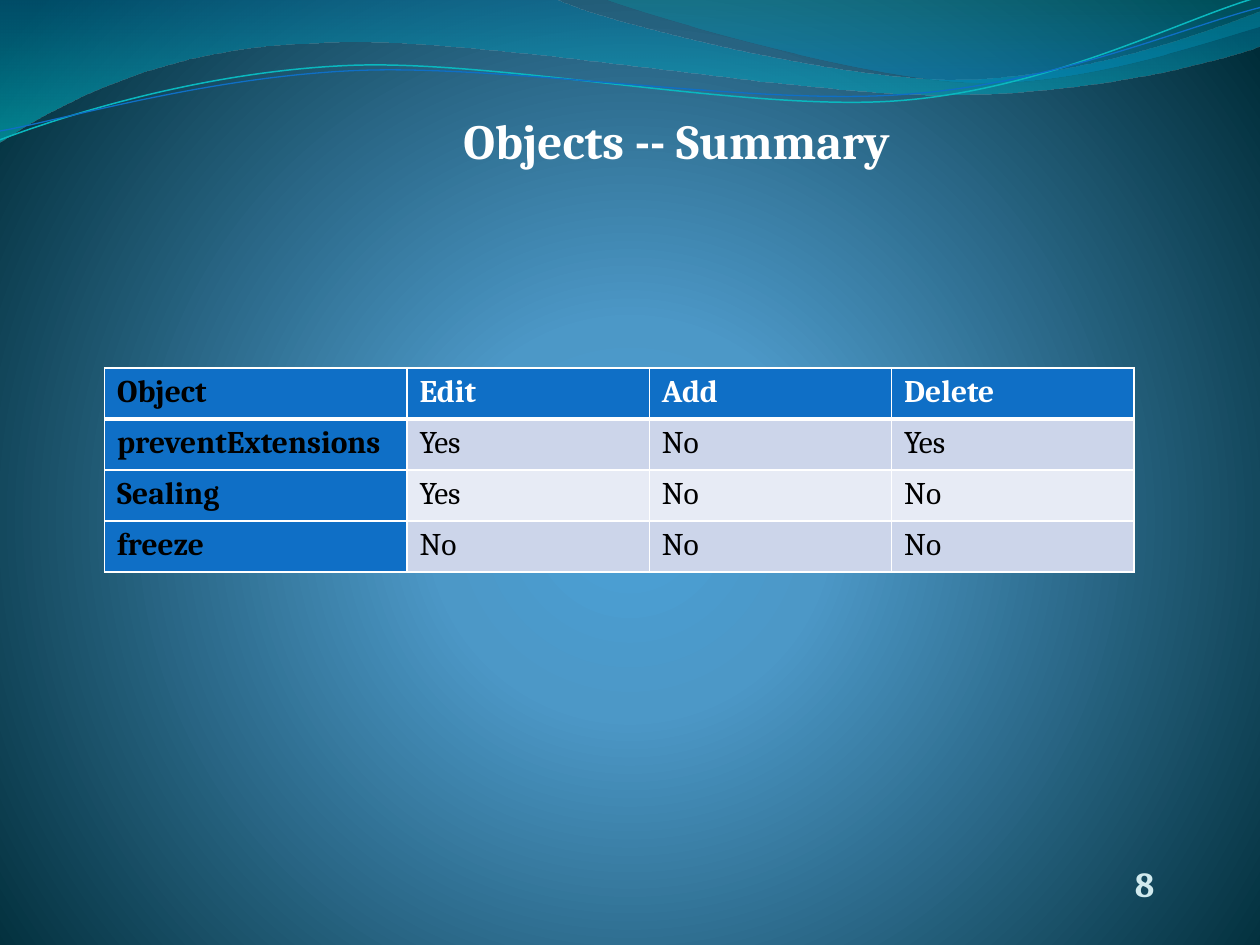
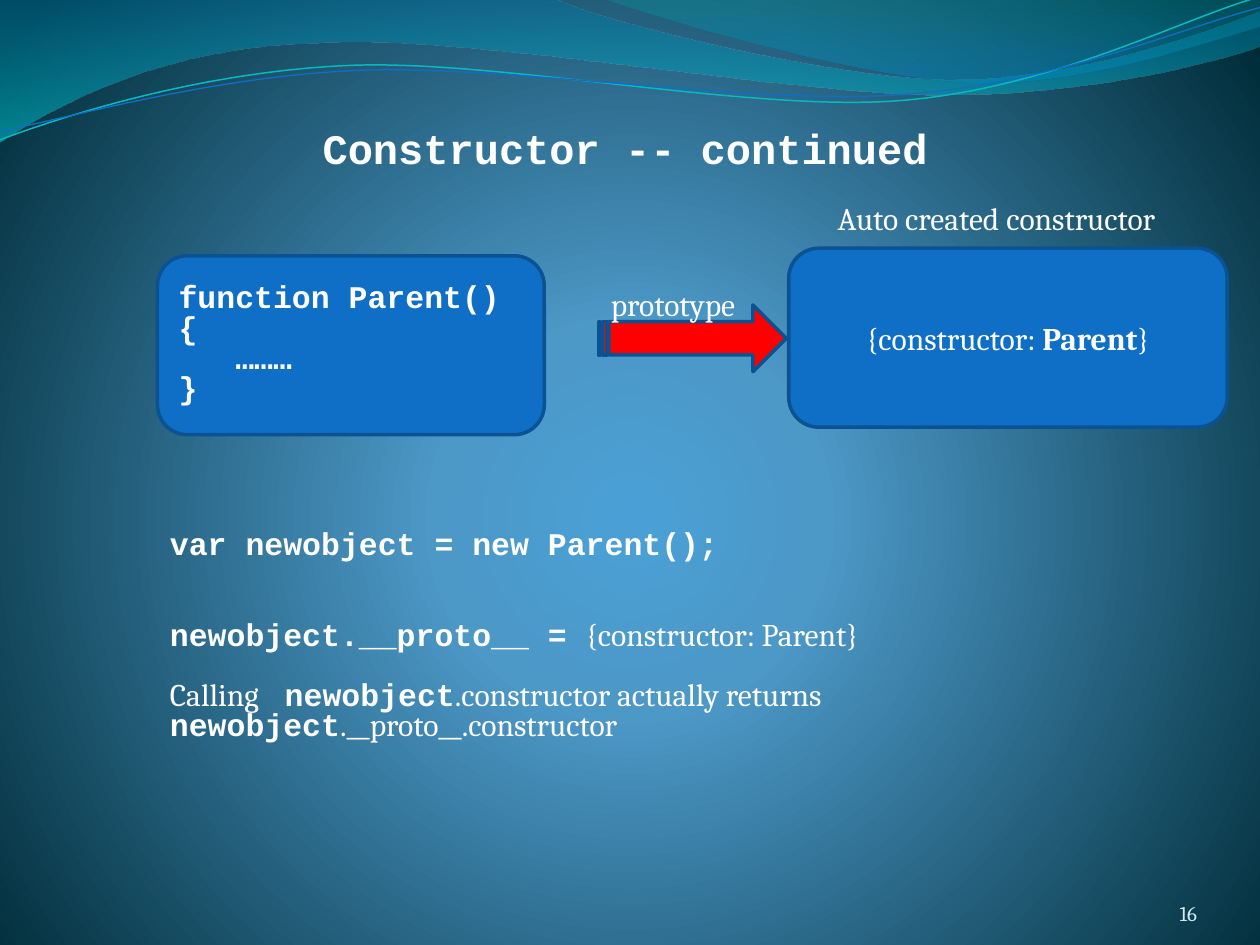
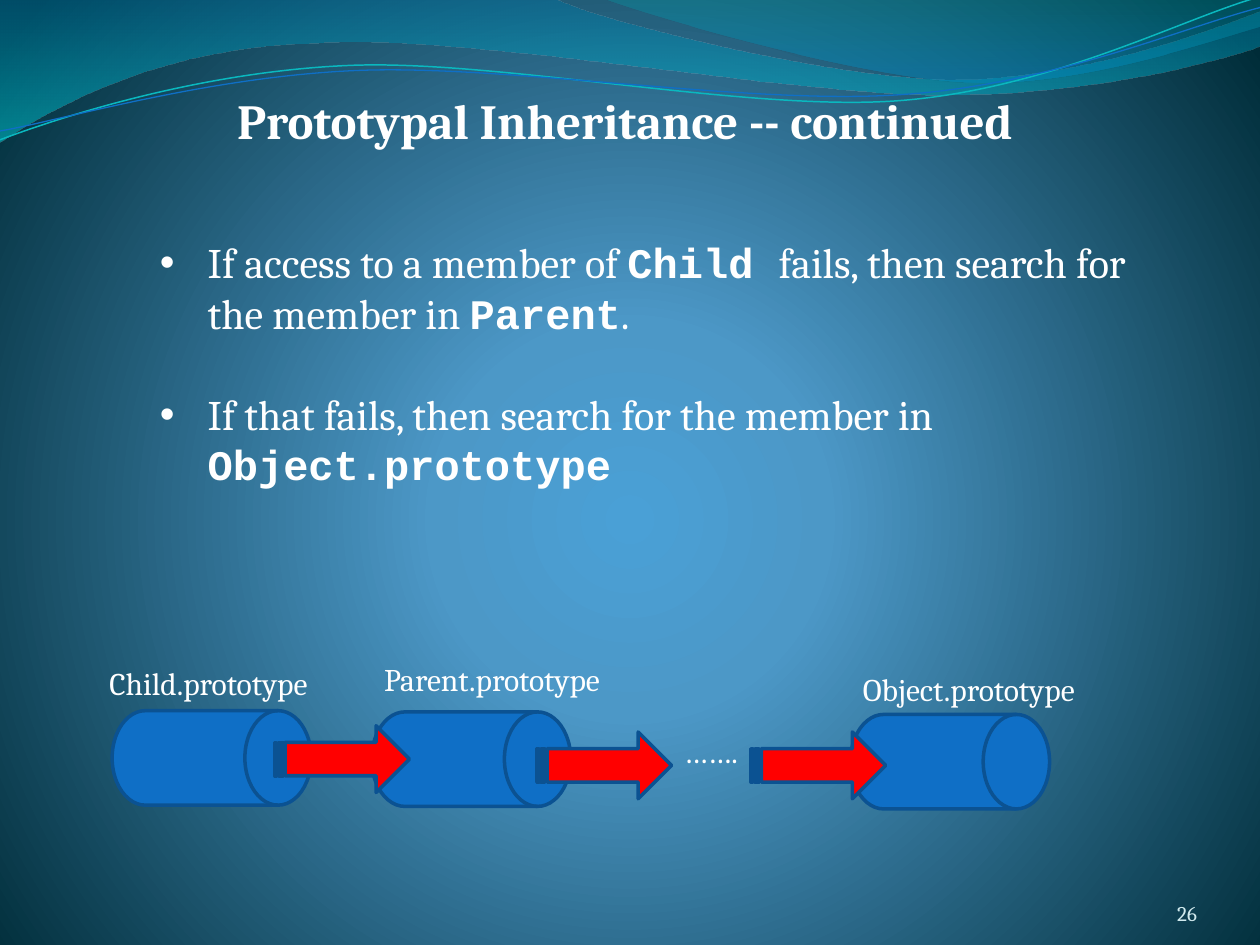
import pptx
import pptx.dml.color
import pptx.enum.shapes
import pptx.enum.text
import pptx.oxml
import pptx.oxml.ns
import pptx.util
from lxml import etree

Inches = pptx.util.Inches
Pt = pptx.util.Pt
qn = pptx.oxml.ns.qn
SHAPES = pptx.enum.shapes.MSO_SHAPE
ALIGN = pptx.enum.text.PP_ALIGN
ANCHOR = pptx.enum.text.MSO_ANCHOR
AUTO_SIZE = pptx.enum.text.MSO_AUTO_SIZE

COLORS = {
    "white": "FFFFFF", "black": "000000", "blue": "0F6FC6", "outline": "0B5292",
    "red": "FF0000", "number": "D1EAEE", "band": "CCD5EA", "light band": "E7EBF5",
    "glow": "4AA0D6", "mid blue": "4C98C7", "deep": "002C38",
    "wave blue": "0074A1", "wave cyan": "00C6CF",
    "wave teal": "00A1A9", "wave sky": "008BBF", "cyan line": "0AB8BF",
}

# Text styles: font name and bold
PLAIN = ("Cambria", False)
STRONG = ("Cambria", True)
CODE = ("Courier New", True)

# Waves: a start point, then lines (one point) and curves (three points)
LEFT_WAVE = [
    [(0, 0)], [(4.4, -0.01)],
    [(4.76, 0.17), (6.64, 0.63), (7.58, 0.63)], [(8.53, 0.63), (9.58, 0.26), (10, 0.09)],
    [(10.01, 0.36)],
    [(9.83, 0.44), (8.7, 0.76), (7.46, 0.75)], [(6.22, 0.75), (3.82, 0.28), (2.57, 0.34)],
    [(1.29, 0.36), (0.46, 0.83), (-0.01, 1.13)], [(0, 0)],
]
RIGHT_WAVE = [
    [(4.79, -0.01)], [(5.09, 0.11), (6.82, 0.62), (7.69, 0.65)],
    [(8.56, 0.69), (9.61, 0.32), (10, 0.21)], [(10, 0)], [(4.79, -0.01)],
]
CYAN_LINE = [
    [(0, 1.11)], [(0.48, 0.93), (1.58, 0.57), (2.77, 0.52)],
    [(3.95, 0.47), (5.93, 0.89), (7.13, 0.8)], [(8.33, 0.71), (9.38, 0.15), (9.98, -0.02)],
]
BLUE_LINE = [
    [(0, 1.04)], [(0.47, 0.96), (1.64, 0.61), (2.83, 0.56)],
    [(4.03, 0.51), (5.97, 0.84), (7.17, 0.75)], [(8.36, 0.67), (9.41, 0.21), (10, 0.06)],
]


def rgb(name):
    """Return a named colour."""
    return pptx.dml.color.RGBColor.from_string(COLORS[name])


def set_gradient(owner, stops, direction):
    """Swap the empty fill of a shape or background for a gradient."""
    marks = ""
    for place, color, alpha in stops:
        clear = f'<a:alpha val="{alpha * 1000}"/>' if alpha < 100 else ""
        marks += (f'<a:gs pos="{place * 1000}"><a:srgbClr val="{COLORS[color]}">'
                  f'{clear}</a:srgbClr></a:gs>')
    gradient = pptx.oxml.parse_xml(
        f'<a:gradFill {pptx.oxml.ns.nsdecls("a")} rotWithShape="1">'
        f'<a:gsLst>{marks}</a:gsLst>{direction}</a:gradFill>')
    empty = owner.find(".//" + qn("a:noFill"))
    empty.getparent().replace(empty, gradient)


def add_wave(page, outline, close):
    """Draw an unfilled outline, then join each three points into a curve."""
    start, *rest = [(Inches(x), Inches(y)) for segment in outline for x, y in segment]
    builder = page.shapes.build_freeform(*start, scale=1.0)
    builder.add_line_segments(rest, close=close)
    wave = builder.convert_to_shape()
    wave.shadow.inherit = False
    wave.fill.background()
    steps = iter(list(wave.element.iter(qn("a:lnTo"))))
    for segment in outline[1:]:
        lines = [next(steps) for _ in segment]
        if len(lines) == 3:
            curve = etree.Element(qn("a:cubicBezTo"))
            lines[0].addprevious(curve)
            for line in lines:
                curve.append(line[0])
                line.getparent().remove(line)
    return wave


def add_wave_band(page, outline, stops):
    """Draw a wave filled from top to bottom."""
    wave = add_wave(page, outline, True)
    set_gradient(wave.element, stops, '<a:lin ang="5400000" scaled="1"/>')
    wave.line.fill.background()
    return wave


def add_wave_line(page, outline, color, width):
    """Draw a thin wavy line."""
    wave = add_wave(page, outline, False)
    wave.line.color.rgb = rgb(color)
    wave.line.width = Pt(width)
    return wave


def style_master(deck, page):
    """Give the master its background and waves, drawn first on a page."""
    master = deck.slide_master
    master.background.fill.background()
    set_gradient(
        master.element, [(0, "glow", 100), (25, "mid blue", 100), (100, "deep", 100)],
        '<a:path path="circle"><a:fillToRect l="10000" t="110000" r="10000" b="100000"/></a:path>')
    waves = [
        add_wave_band(page, LEFT_WAVE, [(0, "wave blue", 45), (100, "wave cyan", 55)]),
        add_wave_band(page, RIGHT_WAVE, [(0, "wave teal", 30), (80, "wave sky", 45)]),
        add_wave_line(page, CYAN_LINE, "cyan line", 0.85),
        add_wave_line(page, BLUE_LINE, "blue", 0.75),
    ]
    for wave in waves:
        master.element.cSld.spTree.append(wave.element)


def set_font(font, style, size, color):
    """Set the whole look of a font."""
    font.name, font.bold = style
    font.size = Pt(size)
    font.color.rgb = rgb(color)


def write(frame, paragraphs, size=18, color="white", align=None, spacing=None, gaps=()):
    """Fill a text frame; each paragraph is a list of (text, style) runs."""
    for index, runs in enumerate(paragraphs):
        para = frame.add_paragraph() if index else frame.paragraphs[0]
        para.alignment = align
        para.line_spacing = spacing
        if index < len(gaps):
            para.space_before = Pt(gaps[index])
        same = len({style for _, style in runs}) == 1
        if same:
            set_font(para.font, runs[0][1], size, color)
        for text, style in runs:
            span = para.add_run()
            span.text = text
            if not same:
                set_font(span.font, style, size, color)


def indent(para, left, first=0):
    """Indent a paragraph and return its properties."""
    props = para._p.get_or_add_pPr()
    props.set("marL", str(Inches(left)))
    props.set("indent", str(Inches(first)))
    return props


def add_bullet(para):
    """Give a paragraph a hanging round bullet."""
    props = indent(para, 0.38, -0.38)
    etree.SubElement(props, qn("a:buFont"), typeface="Arial")
    etree.SubElement(props, qn("a:buChar"), char="•")


def add_text(page, place, paragraphs, wrap=True, **options):
    """Add a text box that grows with its text."""
    box = page.shapes.add_textbox(*map(Inches, place))
    box.text_frame.word_wrap = wrap
    box.text_frame.auto_size = AUTO_SIZE.SHAPE_TO_FIT_TEXT
    write(box.text_frame, paragraphs, **options)
    return box.text_frame


def add_label(page, left, top, width, text):
    """Add a one-line label."""
    add_text(page, (left, top, width, 0.4), [[(text, PLAIN)]], wrap=False)


def add_title(page, place, text, style=STRONG, size=28, **options):
    """Add the slide title."""
    add_text(page, place, [[(text, style)]], size=size, **options)


def add_number(page, text, top=6.95, style=PLAIN, size=12, align=ALIGN.RIGHT):
    """Add the slide number at the lower right."""
    box = page.shapes.add_textbox(Inches(8.67), Inches(top), Inches(0.83), Inches(0.4))
    frame = box.text_frame
    frame.word_wrap = True
    frame.vertical_anchor = ANCHOR.BOTTOM
    frame.margin_left = frame.margin_right = frame.margin_top = frame.margin_bottom = 0
    write(frame, [[(text, style)]], size=size, color="number", align=align)


def add_block(page, kind, place, fill="blue"):
    """Add a filled, outlined shape and return its text frame."""
    block = page.shapes.add_shape(kind, *map(Inches, place))
    block.shadow.inherit = False
    block.fill.solid()
    block.fill.fore_color.rgb = rgb(fill)
    block.line.color.rgb = rgb("outline")
    block.line.width = Pt(2)
    block.text_frame.vertical_anchor = ANCHOR.MIDDLE
    return block.text_frame


def add_arrow(page, left, top, width):
    """Add a red striped arrow."""
    add_block(page, SHAPES.STRIPED_RIGHT_ARROW, (left, top, width, 0.53), "red")


def set_borders(cell, top, bottom):
    """Draw white cell borders."""
    props = cell._tc.get_or_add_tcPr()
    for side, width in (("L", 1), ("R", 1), ("T", top), ("B", bottom)):
        line = etree.SubElement(props, qn("a:ln" + side), w=str(Pt(width)))
        fill = etree.SubElement(line, qn("a:solidFill"))
        etree.SubElement(fill, qn("a:srgbClr"), val=COLORS["white"])


def add_summary_table(page, rows):
    """Add a table with a blue first row and column."""
    width, first = 8.17, 2.4
    table = page.shapes.add_table(
        len(rows), len(rows[0]), Inches(0.83), Inches(2.92), Inches(width), Inches(1.62)).table
    for index, column in enumerate(table.columns):
        column.width = Inches((width - first) / 3 if index else first)
    for r, values in enumerate(rows):
        for c, value in enumerate(values):
            cell = table.cell(r, c)
            heading = r == 0 or c == 0
            set_borders(cell, 3 if r == 1 else 1, 3 if r == 0 else 1)
            cell.fill.solid()
            cell.fill.fore_color.rgb = rgb(
                "blue" if heading else "band" if r % 2 else "light band")
            write(cell.text_frame, [[(value, STRONG if heading else PLAIN)]],
                  color="white" if r == 0 and c else "black")


def build_summary(page):
    """Build the table of what each object lock allows."""
    add_number(page, "8", top=6.78, style=STRONG, size=20, align=ALIGN.CENTER)
    add_title(page, (3.58, 0.83, 3.85, 0.57), "Objects -- Summary", wrap=False)
    add_summary_table(page, [
        ("Object", "Edit", "Add", "Delete"),
        ("preventExtensions", "Yes", "No", "Yes"),
        ("Sealing", "Yes", "No", "No"),
        ("freeze", "No", "No", "No"),
    ])


def build_constructor(page):
    """Build the diagram of a constructor and its prototype."""
    add_number(page, "16")
    add_title(page, (1.5, 0.92, 6.92, 0.91), "Constructor -- continued",
              CODE, 24, align=ALIGN.CENTER)
    code = add_block(page, SHAPES.ROUNDED_RECTANGLE, (1.25, 2.03, 3.07, 1.42))
    write(code, [[("function Parent() {", CODE)], [("………", CODE)], [("}", CODE)]],
          align=ALIGN.LEFT, spacing=0.8)
    indent(code.paragraphs[1], 0.45)
    prototype = add_block(page, SHAPES.ROUNDED_RECTANGLE, (6.26, 1.97, 3.48, 1.42))
    write(prototype, [[("{constructor: ", PLAIN), ("Parent", STRONG), ("}", PLAIN)]],
          align=ALIGN.CENTER)
    add_arrow(page, 4.75, 2.42, 1.49)
    add_label(page, 4.75, 2.21, 1.27, "prototype")
    add_label(page, 6.55, 1.53, 2.9, "Auto created constructor")
    add_text(page, (1.25, 4.17, 8.49, 2.08), [
        [("var newobject = new Parent();", CODE)],
        [("newobject.__proto__ = ", CODE), ("{constructor: Parent}", PLAIN)],
        [("Calling\u00a0", PLAIN), (" newobject", CODE),
         (".constructor\u00a0actually returns\u00a0", PLAIN), (" newobject", CODE),
         (".__proto__.constructor", PLAIN)],
    ], spacing=0.8, gaps=(0, 34.5, 17))


def build_inheritance(page):
    """Build the prototype chain."""
    add_number(page, "26")
    add_title(page, (1.17, 0.67, 7.58, 0.57), "Prototypal Inheritance -- continued",
              align=ALIGN.CENTER)
    rules = add_text(page, (1.17, 1.83, 8.33, 2.12), [
        [("If access to a member of ", PLAIN), ("Child ", CODE),
         ("fails, then search for the member in ", PLAIN), ("Parent", CODE), (".", PLAIN)],
        [("If that fails, then search for the member in ", PLAIN), ("Object.prototype", CODE)],
    ], size=24, gaps=(0, 29))
    for para in rules.paragraphs:
        add_bullet(para)
    for left, top in ((0.89, 5.64), (2.95, 5.65), (6.75, 5.67)):
        add_block(page, SHAPES.FLOWCHART_DIRECT_ACCESS_STORAGE, (left, top, 1.58, 0.75))
    for left, top in ((2.18, 5.76), (4.26, 5.81), (5.96, 5.81)):
        add_arrow(page, left, top, 1.07)
    add_label(page, 0.77, 5.22, 1.93, "Child.prototype")
    add_label(page, 2.95, 5.19, 2.05, "Parent.prototype")
    add_text(page, (6.75, 5.27, 2.24, 0.4), [[("Object.prototype", PLAIN)]])
    add_label(page, 5.33, 5.76, 0.63, "…….")


def main():
    """Build the deck."""
    deck = pptx.Presentation()
    deck.slide_width, deck.slide_height = Inches(10), Inches(7.5)
    blank = deck.slide_layouts[6]
    pages = [deck.slides.add_slide(blank) for _ in range(3)]
    style_master(deck, pages[0])
    for page, build in zip(pages, (build_summary, build_constructor, build_inheritance)):
        build(page)
    deck.save("out.pptx")


main()
